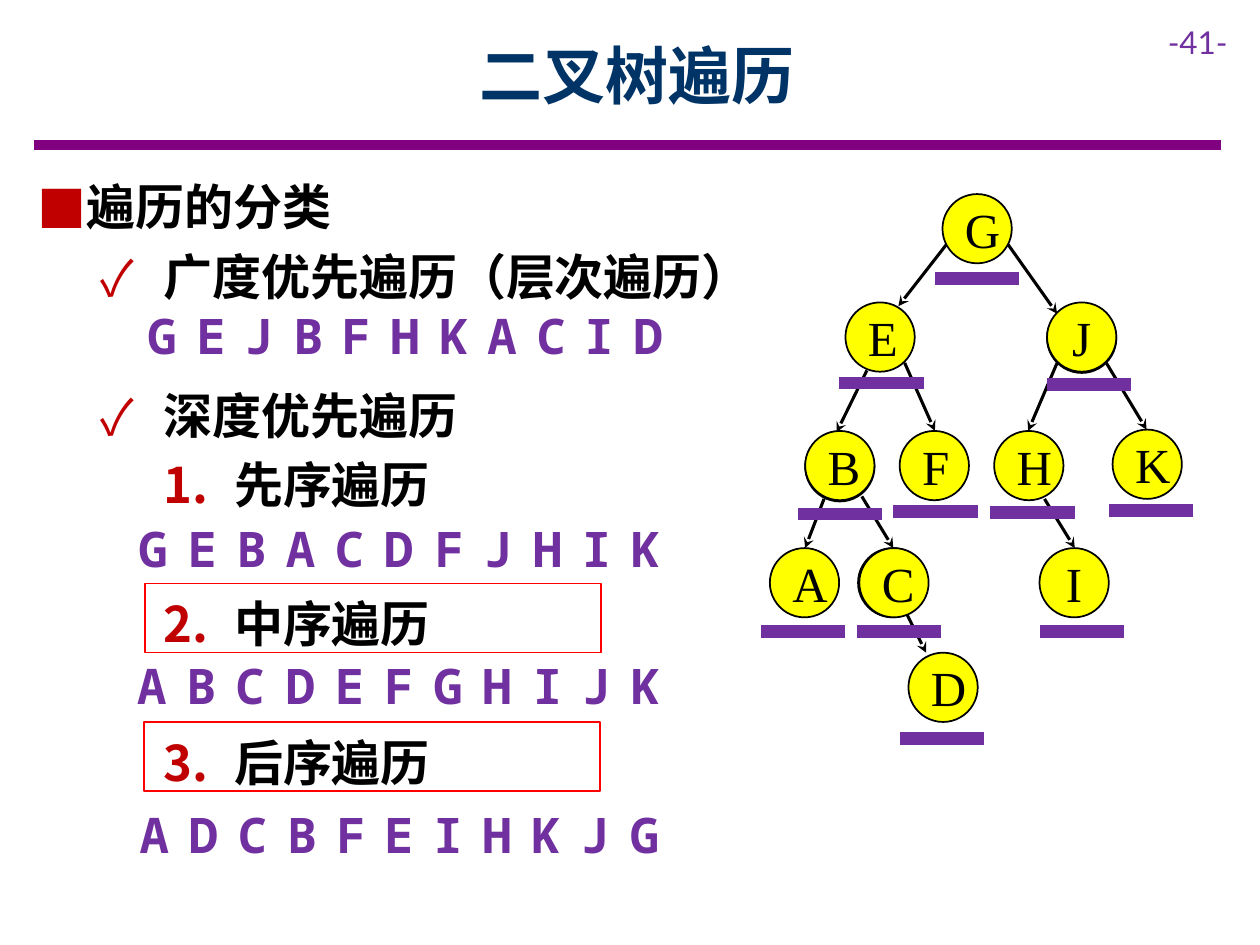
"""Build the slide on binary tree traversal orders."""
from dataclasses import dataclass

from lxml.etree import SubElement
from pptx import Presentation
from pptx.dml.color import RGBColor
from pptx.enum.shapes import MSO_CONNECTOR as Connector, MSO_SHAPE as Shape
from pptx.enum.text import MSO_ANCHOR as Anchor, PP_ALIGN as Align
from pptx.oxml.ns import qn
from pptx.util import Pt

SCALE = 9144
COLORS = {
    "title": "003366", "rule": "800080", "accent": "7030A0", "bullet": "C00000",
    "text": "000000", "node": "FFFF00", "halo": "99CCFF", "frame": "FF0000",
}
CJK, MONO, SERIF, SANS = "Noto Sans CJK SC", "Noto Sans Mono", "Times New Roman", "Lato"
NODE_SIZE, BAR_WIDTH = 55, 67
LINE_HEIGHT, PARAGRAPH_GAP = 33.7, 6


@dataclass(frozen=True)
class Node:
    letter: str
    x: int
    y: int
    bar_x: int
    bar_y: int


@dataclass(frozen=True)
class Item:
    text: str
    level: int
    bullet: str
    margin: int
    hanging: int
    skips_line: bool = False


@dataclass(frozen=True)
class Sequence:
    letters: str
    first_x: int
    last_x: int
    y: int


NODES = [
    Node("G", 748, 154, 742, 221), Node("E", 671, 240, 666, 304),
    Node("B", 639, 342, 633, 408), Node("A", 611, 435, 604, 501),
    Node("C", 682, 435, 680, 501), Node("D", 721, 518, 714, 586),
    Node("F", 714, 342, 709, 406), Node("J", 831, 240, 831, 305),
    Node("H", 789, 342, 786, 407), Node("I", 825, 435, 825, 501),
    Node("K", 883, 341, 880, 405),
]
HALOS = [(831, 241), (681, 435), (639, 343)]
EDGES = [
    (752, 193, 713, 243), (800, 194, 839, 249), (688, 294, 664, 343),
    (718, 288, 742, 342), (839, 288, 816, 342), (878, 288, 910, 341),
    (654, 396, 639, 435), (684, 394, 709, 435), (720, 488, 735, 518),
    (829, 396, 853, 435),
]
ITEMS = [
    Item("遍历的分类", 0, "■", 38, 38),
    Item("广度优先遍历（层次遍历）", 1, "✓", 100, 50),
    Item("深度优先遍历", 1, "✓", 100, 50, True),
    Item("先序遍历", 2, "1", 156, 56),
    Item("中序遍历", 2, "2", 156, 56, True),
    Item("后序遍历", 2, "3", 156, 56, True),
]
SEQUENCES = [
    Sequence("GEJBFHKACID", 104, 490, 230), Sequence("GEBACDFJHIK", 97, 488, 399),
    Sequence("ABCDEFGHIJK", 96, 488, 508), Sequence("ADCBFEIHKJG", 98, 487, 626),
]
FRAMES = [(115, 463), (114, 573)]


def px(*lengths: int) -> list[int]:
    """Turn px into EMU."""
    return [length * SCALE for length in lengths]


def color(name: str) -> RGBColor:
    """Look up a named colour."""
    return RGBColor.from_string(COLORS[name])


def write(paragraph, text: str, *, font: str, size: int = 28, ink: str = "text",
          bold: bool = False, align=Align.LEFT) -> None:
    """Put one formatted run of text in a paragraph."""
    paragraph.alignment = align
    run = paragraph.add_run()
    run.text = text
    run.font.name, run.font.size, run.font.bold = font, Pt(size), bold
    run.font.color.rgb = color(ink)
    SubElement(run.font._element, qn("a:ea"), typeface=font)


def set_margins(frame, margin: int) -> None:
    """Give a text frame equal margins, wrapping and middle anchoring."""
    frame.word_wrap, frame.vertical_anchor = True, Anchor.MIDDLE
    frame.margin_left = frame.margin_right = margin * SCALE
    frame.margin_top = frame.margin_bottom = margin * SCALE


def add_text_box(slide, x: int, y: int, width: int, height: int):
    """Add a wrapping text box and return its frame."""
    frame = slide.shapes.add_textbox(*px(x, y, width, height)).text_frame
    frame.word_wrap = True
    return frame


def add_line(slide, x1: int, y1: int, x2: int, y2: int, ink: str, weight: float,
             arrow: bool = False) -> None:
    """Draw a straight line, with an arrowhead at its end if asked."""
    line = slide.shapes.add_connector(Connector.STRAIGHT, *px(x1, y1, x2, y2))
    line.line.color.rgb, line.line.width = color(ink), Pt(weight)
    if arrow:
        SubElement(line.line._get_or_add_ln(), qn("a:tailEnd"), type="stealth")
    SubElement(line._element.spPr, qn("a:effectLst"))


def add_outline(slide, kind, x: int, y: int, width: int, height: int, ink: str,
                fill: str = ""):
    """Add a preset shape with a thin outline and an optional fill."""
    shape = slide.shapes.add_shape(kind, *px(x, y, width, height))
    shape.shadow.inherit = False
    shape.line.color.rgb, shape.line.width = color(ink), Pt(1)
    if fill:
        shape.fill.solid()
        shape.fill.fore_color.rgb = color(fill)
    else:
        shape.fill.background()
    return shape


def add_circle(slide, x: int, y: int, fill: str):
    """Add a circle of the node size."""
    return add_outline(slide, Shape.OVAL, x, y, NODE_SIZE, NODE_SIZE, "text", fill)


def add_item(paragraph, item: Item) -> None:
    """Write one bulleted or numbered outline item."""
    paragraph.level = item.level
    paragraph.line_spacing, paragraph.space_after = Pt(LINE_HEIGHT), Pt(PARAGRAPH_GAP)
    if item.skips_line:
        paragraph.space_before = Pt(LINE_HEIGHT + PARAGRAPH_GAP)
    write(paragraph, item.text, font=CJK, bold=True)
    properties = paragraph._p.get_or_add_pPr()
    properties.set("marL", str(item.margin * SCALE))
    properties.set("indent", str(-item.hanging * SCALE))
    bullet_color = SubElement(properties, qn("a:buClr"))
    SubElement(bullet_color, qn("a:srgbClr"), val=COLORS["bullet"])
    SubElement(properties, qn("a:buFont"), typeface=CJK)
    if item.bullet.isdigit():
        SubElement(properties, qn("a:buAutoNum"), type="arabicPeriod", startAt=item.bullet)
    else:
        SubElement(properties, qn("a:buChar"), char=item.bullet)


def add_outline_text(slide) -> None:
    """Write the list of traversal kinds."""
    frame = add_text_box(slide, 20, 131, 930, 502)
    frame.margin_top = 9 * SCALE
    for index, item in enumerate(ITEMS):
        add_item(frame.add_paragraph() if index else frame.paragraphs[0], item)


def add_sequence(slide, sequence: Sequence) -> None:
    """Write evenly spaced letters in visiting order."""
    pitch = (sequence.last_x - sequence.first_x) / (len(sequence.letters) - 1)
    for index, letter in enumerate(sequence.letters):
        x = round(sequence.first_x + index * pitch)
        frame = add_text_box(slide, x, sequence.y, 49, 71)
        set_margins(frame, 10)
        write(frame.paragraphs[0], letter, font=MONO, ink="accent", bold=True,
              align=Align.CENTER)


def add_tree(slide) -> None:
    """Draw the edges, the nodes and the bars below them."""
    for edge in EDGES:
        add_line(slide, *edge, "text", 1.75, arrow=True)
    for x, y in HALOS:
        add_circle(slide, x, y, "halo")
    for node in NODES:
        frame = add_circle(slide, node.x, node.y, "node").text_frame
        set_margins(frame, 10)
        write(frame.paragraphs[0], node.letter, font=SERIF, align=Align.CENTER)
    for node in NODES:
        add_line(slide, node.bar_x, node.bar_y, node.bar_x + BAR_WIDTH, node.bar_y,
                 "accent", 7.25)


def main() -> None:
    """Build and save the presentation."""
    presentation = Presentation()
    presentation.slide_width, presentation.slide_height = px(1000, 750)
    slide = presentation.slides.add_slide(presentation.slide_layouts[5])
    title = slide.shapes.title
    title.left, title.top, title.width, title.height = px(90, 9, 831, 100)
    title.text_frame.vertical_anchor = Anchor.MIDDLE
    write(title.text_frame.paragraphs[0], "二叉树遍历", font=CJK, size=36, ink="title",
          bold=True, align=Align.CENTER)
    add_line(slide, 27, 115, 969, 115, "rule", 6)
    page_number = add_text_box(slide, 917, 13, 83, 40)
    write(page_number.paragraphs[0], "-41-", font=SANS, size=18, ink="accent")
    add_outline_text(slide)
    add_tree(slide)
    for sequence in SEQUENCES:
        add_sequence(slide, sequence)
    for x, y in FRAMES:
        add_outline(slide, Shape.RECTANGLE, x, y, 362, 55, "frame")
    presentation.save("out.pptx")


if __name__ == "__main__":
    main()
